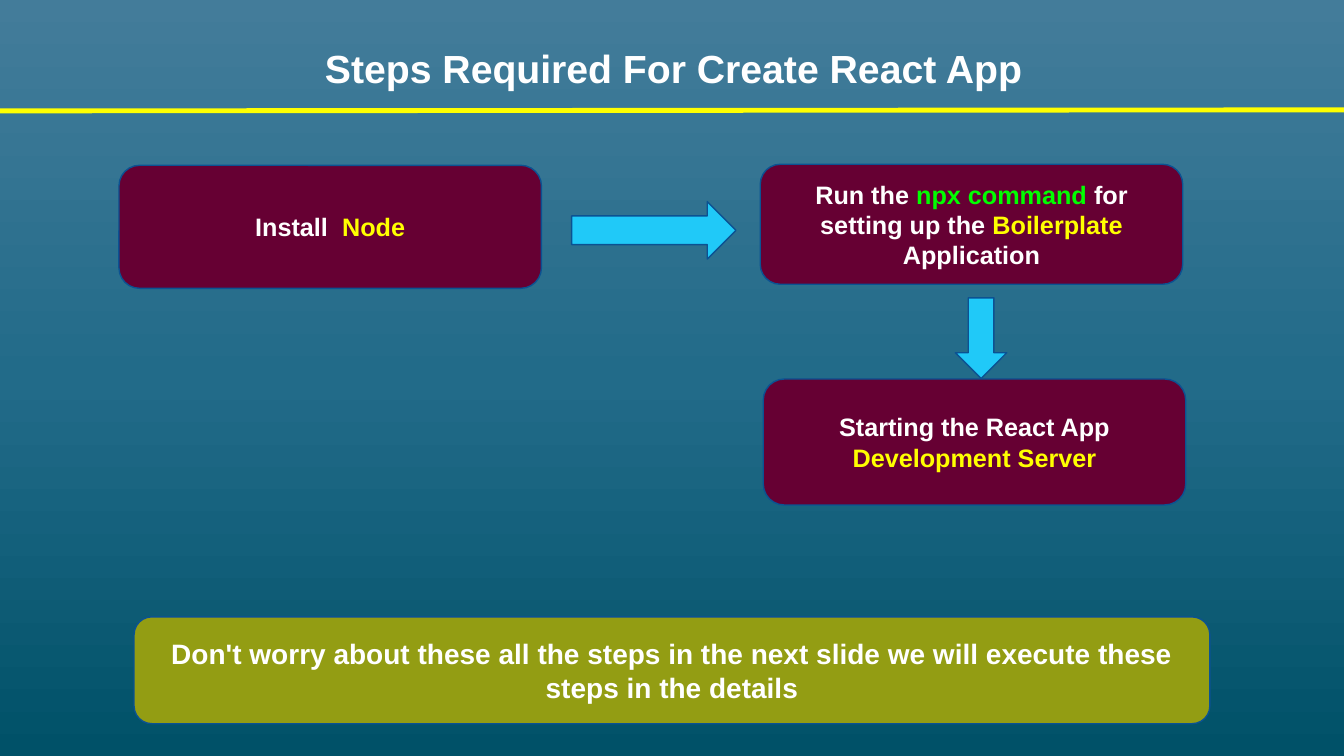
"""Build the slide listing the steps required to create a React app."""
from copy import deepcopy
from dataclasses import dataclass

from lxml.etree import SubElement
from pptx import Presentation
from pptx.dml.color import RGBColor
from pptx.enum.shapes import MSO_CONNECTOR, MSO_SHAPE
from pptx.enum.text import MSO_ANCHOR, PP_ALIGN
from pptx.oxml.ns import qn
from pptx.util import Pt

PX = 9144
COLORS = {
    "top": "437C9A", "middle": "226B89", "bottom": "005168",
    "white": "FFFFFF", "yellow": "FFFF00", "green": "00FF00",
    "maroon": "660033", "olive": "939D13", "cyan": "20C9F8", "outline": "0B5292",
}


@dataclass(frozen=True)
class Run:
    text: str
    color: str = "white"


@dataclass(frozen=True)
class Box:
    left: int
    top: int
    width: int
    height: int
    runs: tuple[Run, ...]
    fill: str = "maroon"
    size: int = 18


@dataclass(frozen=True)
class Arrow:
    left: int
    top: int
    width: int
    height: int
    rotation: int = 0


TITLE = Box(35, 31, 1266, 79, (Run("Steps Required For Create React App"),), size=28)
BOXES = (
    Box(118, 164, 419, 122, (Run("Install  "), Run("Node", "yellow"))),
    Box(754, 163, 419, 119, (
        Run("Run the "), Run("npx command ", "green"), Run("for setting up the "),
        Run("Boilerplate ", "yellow"), Run("Application"))),
    Box(757, 376, 419, 125, (
        Run("Starting the React App "), Run("Development Server", "yellow"))),
    Box(133, 612, 1067, 106, (
        Run("Don't worry about these all the steps in the next slide "
            "we will execute these steps in the details"),), "olive", 20),
)
ARROWS = (Arrow(567, 200, 163, 57), Arrow(933, 310, 80, 51, 90))


def rgb(name: str) -> RGBColor:
    return RGBColor.from_string(COLORS[name])


def place(item: Box | Arrow) -> tuple[int, ...]:
    return tuple(v * PX for v in (item.left, item.top, item.width, item.height))


def paint_background(s) -> None:
    fill = s.background.fill
    fill.gradient()
    fill.gradient_angle = 270
    stops = next(s.element.iter(qn("a:gsLst")))
    stops.insert(1, deepcopy(stops[0]))
    for stop, position, name in zip(fill.gradient_stops, (0, 0.5, 1), ("top", "middle", "bottom")):
        stop.position = position
        stop.color.rgb = rgb(name)


def write(sp, box: Box) -> None:
    tf = sp.text_frame
    tf.word_wrap = True
    tf.vertical_anchor = MSO_ANCHOR.MIDDLE
    p = tf.paragraphs[0]
    p.alignment = PP_ALIGN.CENTER
    for run in box.runs:
        r = p.add_run()
        r.text = run.text
        r.font.name = "Arial"
        r.font.size = Pt(box.size)
        r.font.bold = True
        r.font.color.rgb = rgb(run.color)


def add_filled(s, kind: MSO_SHAPE, item: Box | Arrow, fill: str):
    sp = s.shapes.add_shape(kind, *place(item))
    sp.shadow.inherit = False
    sp.fill.solid()
    sp.fill.fore_color.rgb = rgb(fill)
    sp.line.color.rgb = rgb("outline")
    sp.line.width = Pt(1)
    return sp


def add_title(s) -> None:
    sp = s.shapes.add_textbox(*place(TITLE))
    write(sp, TITLE)
    sp.text_frame.paragraphs[0].line_spacing = 0.9


def add_rule(s) -> None:
    line = s.shapes.add_connector(MSO_CONNECTOR.STRAIGHT, 0, 110 * PX, 1333 * PX, 109 * PX)
    line.line.color.rgb = rgb("yellow")
    line.line.width = Pt(3.5)
    SubElement(line.element.spPr, qn("a:effectLst"))


def main() -> None:
    prs = Presentation()
    prs.slide_width, prs.slide_height = 1333 * PX, 750 * PX
    s = prs.slides.add_slide(prs.slide_layouts[6])
    paint_background(s)
    add_title(s)
    add_rule(s)
    for box in BOXES:
        write(add_filled(s, MSO_SHAPE.ROUNDED_RECTANGLE, box, box.fill), box)
    for arrow in ARROWS:
        add_filled(s, MSO_SHAPE.RIGHT_ARROW, arrow, "cyan").rotation = arrow.rotation
    prs.save("out.pptx")


if __name__ == "__main__":
    main()
